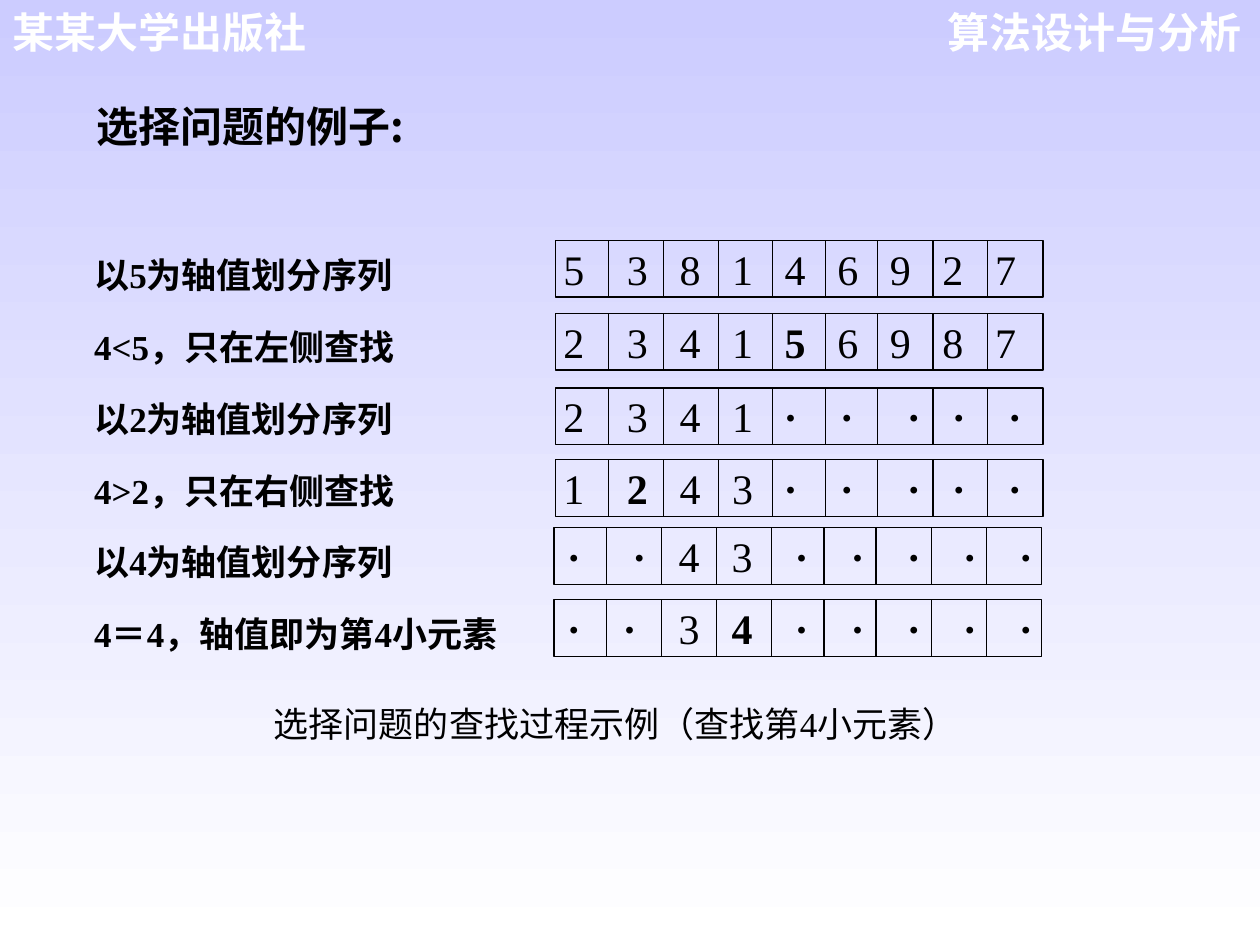
from dataclasses import dataclass

from lxml import etree
from pptx import Presentation
from pptx.dml.color import RGBColor
from pptx.enum.shapes import MSO_CONNECTOR, MSO_SHAPE
from pptx.enum.text import MSO_ANCHOR, PP_ALIGN
from pptx.oxml.ns import qn
from pptx.util import Cm, Pt

LEFT, RIGHT, JUSTIFY = PP_ALIGN.LEFT, PP_ALIGN.RIGHT, PP_ALIGN.JUSTIFY
TOP, MIDDLE = MSO_ANCHOR.TOP, MSO_ANCHOR.MIDDLE
RECTANGLE, STRAIGHT = MSO_SHAPE.RECTANGLE, MSO_CONNECTOR.STRAIGHT

COLORS = {"sky": "CCCCFF", "white": "FFFFFF", "black": "000000"}
CJK_FONT, LATIN_FONT, HEADER_FONT = "Noto Sans CJK SC", "Times New Roman", "Arial"

ROW_WIDTH, ROW_HEIGHT = 9.83, 1.14
DIVIDERS = (1.06, 2.17, 3.28, 4.38, 5.44, 6.49, 7.61, 8.71)
# Where each value starts, in cm from the left edge of its row
DIGIT_STOPS = (0.16, *(round(1.44 + 1.06 * step, 2) for step in range(8)))
LEFT_PART_STOPS = DIGIT_STOPS[:4] + (4.6, 5.73, 7.08, 7.99, 9.12)
RIGHT_DOT_STOPS = tuple(round(4.85 + 1.13 * step, 2) for step in range(5))


@dataclass(frozen=True)
class Span:
    text: str
    size: float
    font: str
    bold: bool = False
    color: str = "black"


@dataclass(frozen=True)
class TextBlock:
    left: float
    top: float
    width: float
    height: float
    paragraphs: tuple[tuple[Span, ...], ...]
    align: PP_ALIGN = LEFT
    anchor: MSO_ANCHOR = MIDDLE
    margins: tuple[float, float] = (0.25, 0.13)
    line_points: float | None = None


@dataclass(frozen=True)
class SequenceRow:
    left: float
    top: float
    values: str
    stops: tuple[float, ...]
    pivot: int | None = None


ROWS = (
    SequenceRow(11.2, 4.85, "538146927", DIGIT_STOPS),
    SequenceRow(11.2, 6.32, "234156987", DIGIT_STOPS, pivot=4),
    SequenceRow(11.2, 7.82, "2341·····", LEFT_PART_STOPS),
    SequenceRow(11.2, 9.27, "1243·····", LEFT_PART_STOPS, pivot=1),
    SequenceRow(11.17, 10.64, "··43·····", (0.26, 1.58, 2.51, 3.58) + RIGHT_DOT_STOPS),
    SequenceRow(11.17, 12.09, "··34·····", (0.26, 1.38, 2.51, 3.58) + RIGHT_DOT_STOPS, pivot=3),
)

LABELS = (
    "以5为轴值划分序列",
    "4<5，只在左侧查找",
    "以2为轴值划分序列",
    "4>2，只在右侧查找",
    "以4为轴值划分序列",
    "4＝4，轴值即为第4小元素",
)

TEXT_BLOCKS = (
    TextBlock(18.39, 0, 6.88, 1.27,
              ((Span("算法设计与分析", 24, HEADER_FONT, True, "white"),),), RIGHT),
    TextBlock(0, 0, 6.88, 1.27,
              ((Span("某某大学出版社", 24, HEADER_FONT, True, "white"),),)),
    TextBlock(1.7, 1.9, 22.02, 1.27,
              ((Span("选择问题的例子:", 24, CJK_FONT, True),),)),
    TextBlock(4.88, 14.1, 17.22, 0.97,
              ((Span("选择问题的查找过程示例（", 20, CJK_FONT),
                Span("查找第4小元素）", 20, LATIN_FONT)),),
              JUSTIFY, margins=(0.64, 0)),
    TextBlock(1.9, 4.52, 8.28, 8.81,
              tuple((Span(label, 20, LATIN_FONT, True),) for label in LABELS),
              JUSTIFY, TOP, (0, 0), 41),
)


def rgb(name: str) -> RGBColor:
    return RGBColor.from_string(COLORS[name])


def add_span(para, span: Span) -> None:
    run = para.add_run()
    run.text = span.text
    run.font.size = Pt(span.size)
    run.font.name = span.font
    run.font.bold = span.bold
    run.font.color.rgb = rgb(span.color)
    east_asian = etree.Element(qn("a:ea"), typeface=CJK_FONT)
    run.font._element.find(qn("a:latin")).addnext(east_asian)


def add_text_block(page, block: TextBlock) -> None:
    box = page.shapes.add_textbox(Cm(block.left), Cm(block.top), Cm(block.width), Cm(block.height))
    frame = box.text_frame
    frame.word_wrap = True
    frame.vertical_anchor = block.anchor
    side, edge = block.margins
    frame.margin_left, frame.margin_right = Cm(side), Cm(min(side, 0.25))
    frame.margin_top = frame.margin_bottom = Cm(edge)
    for index, spans in enumerate(block.paragraphs):
        para = frame.add_paragraph() if index else frame.paragraphs[0]
        para.alignment = block.align
        if block.line_points:
            para.line_spacing = Pt(block.line_points)
        for span in spans:
            add_span(para, span)


def set_tab_stops(para, positions: list[float]) -> None:
    tab_list = etree.SubElement(para._p.get_or_add_pPr(), qn("a:tabLst"))
    for position in positions:
        etree.SubElement(tab_list, qn("a:tab"), pos=str(Cm(position)), algn="l")


def add_divider(page, x: float, top: float) -> None:
    line = page.shapes.add_connector(STRAIGHT, Cm(x), Cm(top), Cm(x), Cm(top + ROW_HEIGHT))
    line.line.color.rgb = rgb("black")
    line.line.width = Pt(0.75)
    etree.SubElement(line._element.spPr, qn("a:effectLst"))


def add_sequence_row(page, row: SequenceRow) -> None:
    """Draw a framed row of tabbed values; the pivot and the dots are bold."""
    box = page.shapes.add_shape(RECTANGLE, Cm(row.left), Cm(row.top), Cm(ROW_WIDTH), Cm(ROW_HEIGHT))
    box.shadow.inherit = False
    box.fill.background()
    box.line.color.rgb = rgb("black")
    box.line.width = Pt(0.75)

    frame = box.text_frame
    frame.word_wrap = True
    frame.vertical_anchor = MIDDLE
    start = row.stops[0]
    frame.margin_left, frame.margin_right = Cm(start), Cm(0.05)
    frame.margin_top = frame.margin_bottom = 0
    para = frame.paragraphs[0]
    para.alignment = JUSTIFY
    set_tab_stops(para, [stop - start for stop in row.stops[1:]])
    for index, value in enumerate(row.values):
        text = f"\t{value}" if index else value
        add_span(para, Span(text, 24, LATIN_FONT, value == "·" or index == row.pivot))

    for offset in DIVIDERS:
        add_divider(page, row.left + offset, row.top)


def paint_background(page) -> None:
    fill = page.background.fill
    fill.gradient()
    fill.gradient_angle = 270
    for stop, position, name in zip(fill.gradient_stops, (0, 1), ("sky", "white")):
        stop.position = position
        stop.color.rgb = rgb(name)


def main() -> None:
    deck = Presentation()
    deck.slide_width, deck.slide_height = Cm(25.4), Cm(19.05)
    page = deck.slides.add_slide(deck.slide_layouts[6])
    paint_background(page)
    for block in TEXT_BLOCKS:
        add_text_block(page, block)
    for row in ROWS:
        add_sequence_row(page, row)
    deck.save("out.pptx")


if __name__ == "__main__":
    main()
